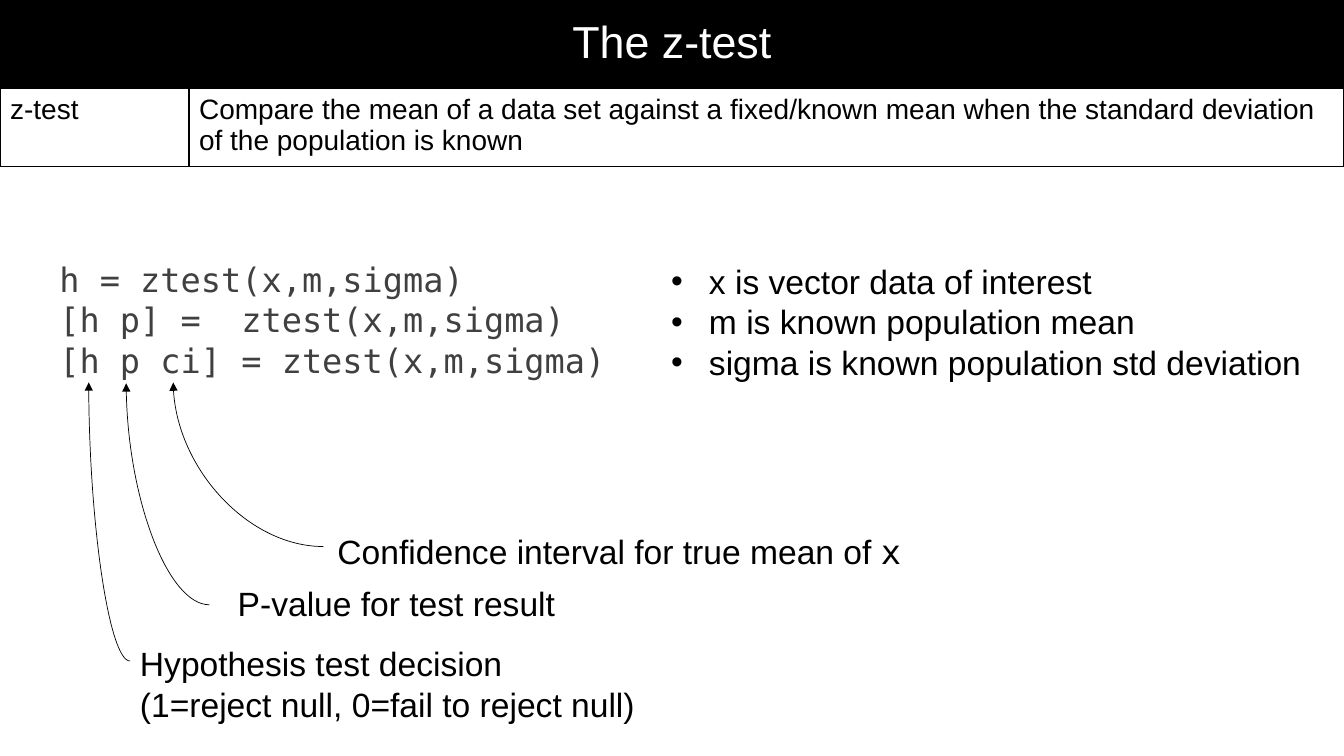
from dataclasses import dataclass

from lxml.etree import SubElement
from pptx import Presentation
from pptx.dml.color import RGBColor
from pptx.enum.dml import MSO_LINE
from pptx.enum.shapes import MSO_CONNECTOR, MSO_SHAPE
from pptx.enum.text import MSO_ANCHOR, MSO_AUTO_SIZE, PP_ALIGN
from pptx.oxml.ns import qn
from pptx.util import Pt

BLACK = RGBColor(0x00, 0x00, 0x00)
WHITE = RGBColor(0xFF, 0xFF, 0xFF)
CODE_GREY = RGBColor(0x40, 0x40, 0x40)
SANS = "Arial"
MONO = "DejaVu Sans Mono"
PAGE_WIDTH, PAGE_HEIGHT = 960, 540
TITLE_HEIGHT = 63.3


@dataclass
class TextBlock:
    left: float
    top: float
    width: float
    height: float
    lines: list[str]
    font: str = SANS
    color: RGBColor = BLACK
    wrap: bool = True
    bulleted: bool = False
    code_tail: str = ""


@dataclass
class Pointer:
    """A curved arrow from an explanation to an output of the call."""
    start_x: float
    start_y: float
    end_x: float
    end_y: float


TEXT_BLOCKS = [
    TextBlock(35.3, 181.4, 406.8, 94.3,
              ["h = ztest(x,m,sigma)", "[h p] =  ztest(x,m,sigma)",
               "[h p ci] = ztest(x,m,sigma)"],
              font=MONO, color=CODE_GREY, wrap=False),
    TextBlock(472.3, 182.9, 475.9, 94.3,
              ["x is vector data of interest", "m is known population mean",
               "sigma is known population std deviation"], bulleted=True),
    TextBlock(92.9, 455.8, 371.5, 65.4,
              ["Hypothesis test decision",
               "(1=reject null, 0=fail to reject null)"], wrap=False),
    TextBlock(162.7, 412.6, 317.5, 36, ["P-value for test result"]),
    TextBlock(234, 375.8, 429.1, 36,
              ["Confidence interval for true mean of "], code_tail="x"),
]
POINTERS = [
    Pointer(92.9, 472.2, 63.4, 273.2),
    Pointer(231.1, 390.4, 123.8, 273.2),
    Pointer(149.6, 432, 90.2, 273.8),
]
DEFINITION = [
    "z-test",
    "Compare the mean of a data set against a fixed/known mean when the "
    "standard deviation of the population is known",
]
COLUMN_WIDTHS = [135, 825]


def style_span(span, size: float, font: str, color: RGBColor) -> None:
    span.font.size = Pt(size)
    span.font.name = font
    span.font.color.rgb = color


def add_bullet(para) -> None:
    properties = para._p.get_or_add_pPr()
    properties.set("marL", str(Pt(27)))
    properties.set("indent", str(-Pt(27)))
    SubElement(properties, qn("a:buFont"), typeface=SANS)
    SubElement(properties, qn("a:buChar"), char="•")


def draw_title(page, title: str) -> None:
    bar = page.shapes.add_shape(MSO_SHAPE.RECTANGLE, 0, 0,
                                Pt(PAGE_WIDTH), Pt(TITLE_HEIGHT))
    bar.shadow.inherit = False
    bar.fill.solid()
    bar.fill.fore_color.rgb = BLACK
    bar.line.fill.background()
    frame = bar.text_frame
    frame.text = title
    frame.vertical_anchor = MSO_ANCHOR.MIDDLE
    para = frame.paragraphs[0]
    para.alignment = PP_ALIGN.CENTER
    para.line_spacing = 0.9
    style_span(para.runs[0], 32, SANS, WHITE)


def draw_text(page, block: TextBlock) -> None:
    box = page.shapes.add_textbox(Pt(block.left), Pt(block.top),
                                  Pt(block.width), Pt(block.height))
    frame = box.text_frame
    frame.word_wrap = block.wrap
    frame.auto_size = MSO_AUTO_SIZE.SHAPE_TO_FIT_TEXT
    frame.text = "\n".join(block.lines)
    for para in frame.paragraphs:
        style_span(para.runs[0], 24, block.font, block.color)
        if block.bulleted:
            add_bullet(para)
    if block.code_tail:
        span = frame.paragraphs[-1].add_run()
        span.text = block.code_tail
        style_span(span, 24, MONO, block.color)


def draw_pointer(page, pointer: Pointer) -> None:
    arrow = page.shapes.add_connector(
        MSO_CONNECTOR.CURVE, Pt(pointer.start_x), Pt(pointer.start_y),
        Pt(pointer.end_x), Pt(pointer.end_y))
    arrow.line.color.rgb = BLACK
    arrow.line.width = Pt(0.5)
    arrow.line.dash_style = MSO_LINE.SOLID
    properties = arrow._element.spPr
    # A single bend: leaves sideways, arrives upwards
    properties.find(qn("a:prstGeom")).set("prst", "curvedConnector2")
    SubElement(properties.find(qn("a:ln")), qn("a:tailEnd"), type="triangle")
    SubElement(properties, qn("a:effectLst"))


def add_borders(cell) -> None:
    properties = cell._tc.get_or_add_tcPr()
    for position, side in enumerate(("a:lnL", "a:lnR", "a:lnT", "a:lnB")):
        border = SubElement(properties, qn(side), w=str(Pt(1)))
        fill = SubElement(border, qn("a:solidFill"))
        SubElement(fill, qn("a:srgbClr"), val=str(BLACK))
        properties.insert(position, border)


def draw_definition(page) -> None:
    table = page.shapes.add_table(1, len(DEFINITION), 0, Pt(TITLE_HEIGHT),
                                  Pt(PAGE_WIDTH), Pt(55.4)).table
    table.first_row = False
    table.horz_banding = False
    for column, width in zip(table.columns, COLUMN_WIDTHS):
        column.width = Pt(width)
    for cell, wording in zip(table.rows[0].cells, DEFINITION):
        cell.text_frame.text = wording
        style_span(cell.text_frame.paragraphs[0].runs[0], 20, SANS, BLACK)
        cell.fill.solid()
        cell.fill.fore_color.rgb = WHITE
        add_borders(cell)


def main() -> None:
    deck = Presentation()
    deck.slide_width, deck.slide_height = Pt(PAGE_WIDTH), Pt(PAGE_HEIGHT)
    page = deck.slides.add_slide(deck.slide_layouts[6])

    # Heading and definition
    draw_title(page, "The z-test")
    draw_definition(page)

    # Calls, arguments and explanations
    for block in TEXT_BLOCKS:
        draw_text(page, block)

    # Arrows to the outputs
    for pointer in POINTERS:
        draw_pointer(page, pointer)

    deck.save("out.pptx")


if __name__ == "__main__":
    main()
